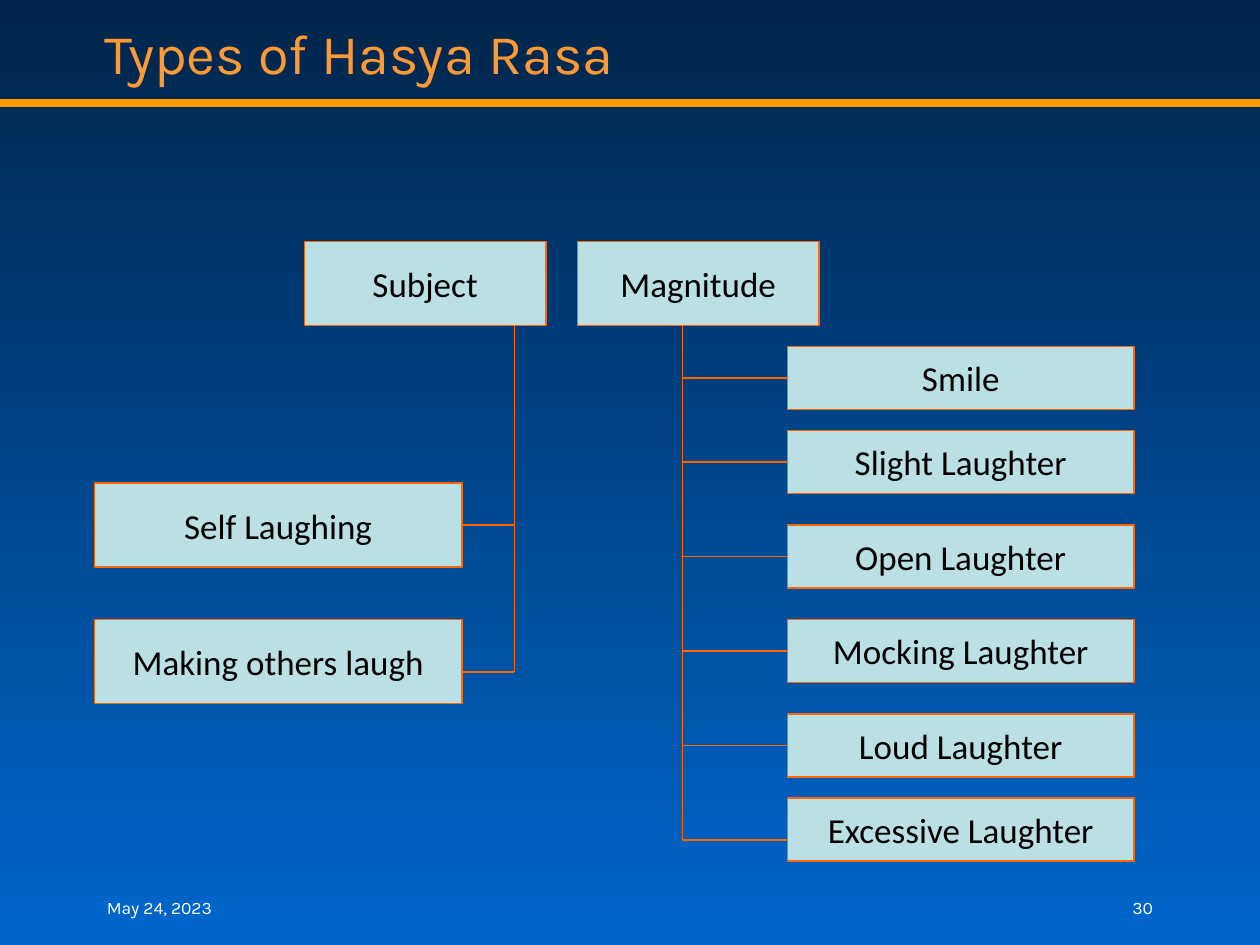
from lxml.etree import SubElement
from pptx import Presentation
from pptx.dml.color import RGBColor
from pptx.enum.shapes import MSO_CONNECTOR, MSO_SHAPE
from pptx.enum.text import MSO_ANCHOR, MSO_AUTO_SIZE, PP_ALIGN
from pptx.oxml.ns import qn
from pptx.util import Inches, Pt

HUES = {"top": "00254A", "base": "0066CC", "rule": "FF9900", "title": "FF9933",
        "box": "BBE0E3", "edge": "FF6600", "ink": "000000", "pale": "FFFFFF"}
FORMS = {"title": {"name": "Karla", "size": Pt(32), "bold": False},
         "foot": {"name": "Karla", "size": Pt(10)},
         "box": {"name": "Calibri", "size": Pt(20)}}
COLS, ROWS = 120, 90


def hue(key):
    return RGBColor.from_string(HUES[key])


class Deck:
    """Draws on one slide with a grid of 120 columns by 90 rows."""

    def __init__(self):
        self.show = Presentation()
        self.show.slide_width, self.show.slide_height = Inches(10), Inches(7.5)
        self.slide = self.show.slides.add_slide(self.show.slide_layouts[5])
        self.shapes = self.slide.shapes

    def grid(self, x, y):
        return (round(self.show.slide_width * x / COLS),
                round(self.show.slide_height * y / ROWS))

    def back(self):
        fill = self.slide.background.fill
        fill.gradient()
        fill.gradient_angle = 270
        for stop, key, spot in zip(fill.gradient_stops, ("top", "base"), (0, 1)):
            stop.color.rgb, stop.position = hue(key), spot

    def label(self, shape, text, form, ink, align, anchor, wrap=True):
        frame = shape.text_frame
        frame.text = text
        for key, value in {"auto_size": MSO_AUTO_SIZE.NONE, "word_wrap": wrap,
                           "vertical_anchor": anchor}.items():
            setattr(frame, key, value)
        para = frame.paragraphs[0]
        para.alignment = align
        font = para.runs[0].font
        for key, value in FORMS[form].items():
            setattr(font, key, value)
        font.color.rgb = hue(ink)

    def title(self, text, x, y, w, h):
        shape = self.shapes.title
        shape.left, shape.top = self.grid(x, y)
        shape.width, shape.height = self.grid(w, h)
        self.label(shape, text, "title", "title", PP_ALIGN.LEFT, MSO_ANCHOR.MIDDLE)

    def foot(self, text, x, align):
        shape = self.shapes.add_textbox(*self.grid(x, 82), *self.grid(25, 6))
        self.label(shape, text, "foot", "pale", align, MSO_ANCHOR.BOTTOM)

    def box(self, text, x, y, w, h):
        shape = self.shapes.add_shape(MSO_SHAPE.RECTANGLE, *self.grid(x, y), *self.grid(w, h))
        shape.shadow.inherit = False
        shape.fill.solid()
        shape.fill.fore_color.rgb = hue("box")
        shape.line.color.rgb, shape.line.width = hue("edge"), Pt(0.75)
        self.label(shape, text, "box", "ink", PP_ALIGN.CENTER, MSO_ANCHOR.MIDDLE, False)
        return shape

    def line(self, x, y, to_x, to_y, key="edge", width=0.75):
        line = self.shapes.add_connector(MSO_CONNECTOR.STRAIGHT,
                                         *self.grid(x, y), *self.grid(to_x, to_y))
        line.line.color.rgb, line.line.width = hue(key), Pt(width)
        SubElement(line._element.spPr, qn("a:effectLst"))
        return line

    def tree(self, head, x, trunk, kids, left, size, side):
        """A head box, a trunk below it, and kids of (text, row, branch row)."""
        self.box(head, x, 23, 23, 8)
        wide, high = size
        self.line(trunk, 31, trunk, kids[-1][2])
        edge = left if side == 1 else left + wide
        for text, row, mid in kids:
            kid = self.box(text, left, row, wide, high)
            arm = self.line(trunk, mid, edge, mid)
            if mid == row + high / 2:
                arm.end_connect(kid, side)


def main():
    deck = Deck()

    # Background, rule and title
    deck.back()
    deck.line(0, 9.8, COLS, 9.8, "rule", 4.5)
    deck.title("Types of Hasya Rasa", 8.75, 1, 102, 8)

    # Footer
    deck.foot("May 24, 2023", 9, PP_ALIGN.LEFT)
    deck.foot("30", 86, PP_ALIGN.RIGHT)

    # Types by subject
    deck.tree("Subject", 29, 49,
              [("Self Laughing", 46, 50), ("Making others laugh", 59, 64)],
              9, (35, 8), 3)

    # Types by magnitude
    deck.tree("Magnitude", 55, 65,
              [("Smile", 33, 36), ("Slight Laughter", 41, 44),
               ("Open Laughter", 50, 53), ("Mocking Laughter", 59, 62),
               ("Loud Laughter", 68, 71), ("Excessive Laughter", 76, 80)],
              75, (33, 6), 1)

    deck.show.save("out.pptx")


if __name__ == "__main__":
    main()
